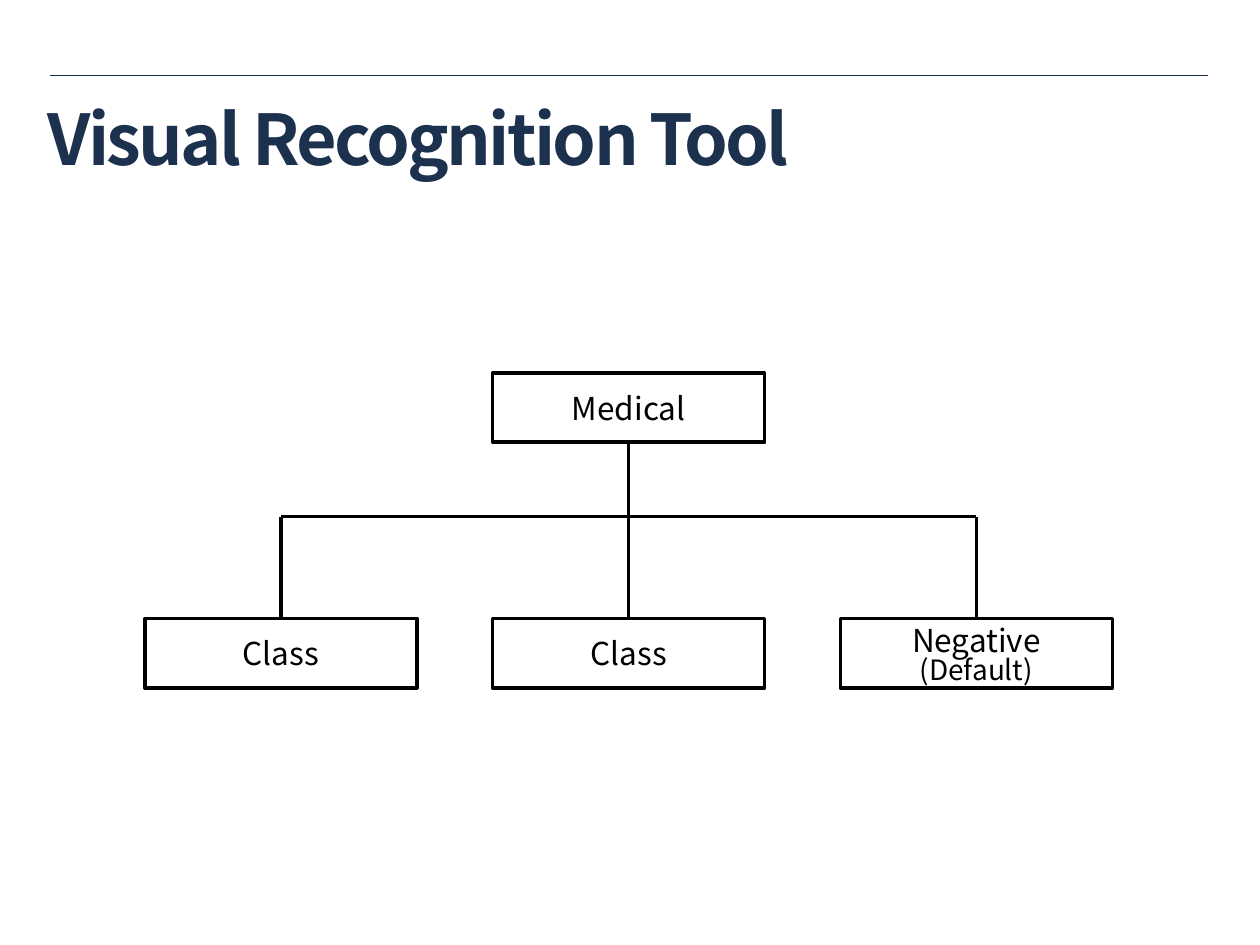
"""Build the Visual Recognition Tool slide with its class hierarchy."""
from lxml.etree import SubElement
from pptx import Presentation
from pptx.dml.color import RGBColor
from pptx.enum.shapes import MSO_CONNECTOR as LINK, MSO_SHAPE as SHAPE
from pptx.enum.text import MSO_ANCHOR as ANCHOR, PP_ALIGN as ALIGN
from pptx.oxml.ns import qn
from pptx.util import Pt

TITLE = "Visual Recognition Tool"
ROOT = [("Medical", 18)]
CHILDREN = [[("Class", 18)], [("Class", 18)], [("Negative", 18), ("(Default)", 16)]]

COLORS = {"navy": "1C314E", "black": "000000"}
FONT = "Noto Sans CJK KR"
BOX_W, BOX_H = 155.5, 39.6
LEFT, STEP = 82.8, 198.7
ROOT_Y, BUS_Y, CHILD_Y = 213.1, 295.2, 353.5


def color(name):
    return RGBColor.from_string(COLORS[name])


def style(p, size, name, bold=False):
    p.font.name, p.font.size, p.font.bold = FONT, Pt(size), bold
    p.font.color.rgb = color(name)


def add_line(s, x1, y1, x2, y2, name="black", width=2):
    line = s.shapes.add_connector(LINK.STRAIGHT, Pt(x1), Pt(y1), Pt(x2), Pt(y2))
    line.line.color.rgb = color(name)
    line.line.width = Pt(width)
    SubElement(line._element.spPr, qn("a:effectLst"))


def add_title(s):
    tf = s.shapes.add_textbox(Pt(20.2), Pt(55.4), Pt(550.8), Pt(46.1)).text_frame
    tf.word_wrap = True
    tf.vertical_anchor = ANCHOR.MIDDLE
    p = tf.paragraphs[0]
    r = p.add_run()
    r.text = TITLE
    style(p, 40, "navy", bold=True)
    r._r.get_or_add_rPr().set("spc", "-150")


def add_box(s, x, y, lines):
    sp = s.shapes.add_shape(SHAPE.RECTANGLE, Pt(x), Pt(y), Pt(BOX_W), Pt(BOX_H))
    sp.shadow.inherit = False
    sp.fill.background()
    sp.line.color.rgb = color("black")
    sp.line.width = Pt(2)
    tf = sp.text_frame
    tf.word_wrap = True
    tf.vertical_anchor = ANCHOR.MIDDLE
    for i, (text, size) in enumerate(lines):
        p = tf.add_paragraph() if i else tf.paragraphs[0]
        p.text = text
        p.alignment = ALIGN.CENTER
        p.line_spacing = 0.8 if i else 1.0
        style(p, size, "black")


def main():
    prs = Presentation()
    prs.slide_width, prs.slide_height = Pt(720), Pt(540)
    s = prs.slides.add_slide(prs.slide_layouts[6])

    add_line(s, 28.8, 43.2, 690.5, 43.2, "navy", 0.25)
    add_title(s)

    lefts = [LEFT + i * STEP for i in range(len(CHILDREN))]
    first, middle, last = [x + BOX_W / 2 for x in lefts]
    add_box(s, lefts[1], ROOT_Y, ROOT)
    for x, lines in zip(lefts, CHILDREN):
        add_box(s, x, CHILD_Y, lines)

    add_line(s, middle, ROOT_Y + BOX_H, middle, CHILD_Y)
    for x in (first, last):
        add_line(s, x, CHILD_Y, x, BUS_Y)
    add_line(s, first, BUS_Y, last, BUS_Y)
    prs.save("out.pptx")


if __name__ == "__main__":
    main()
